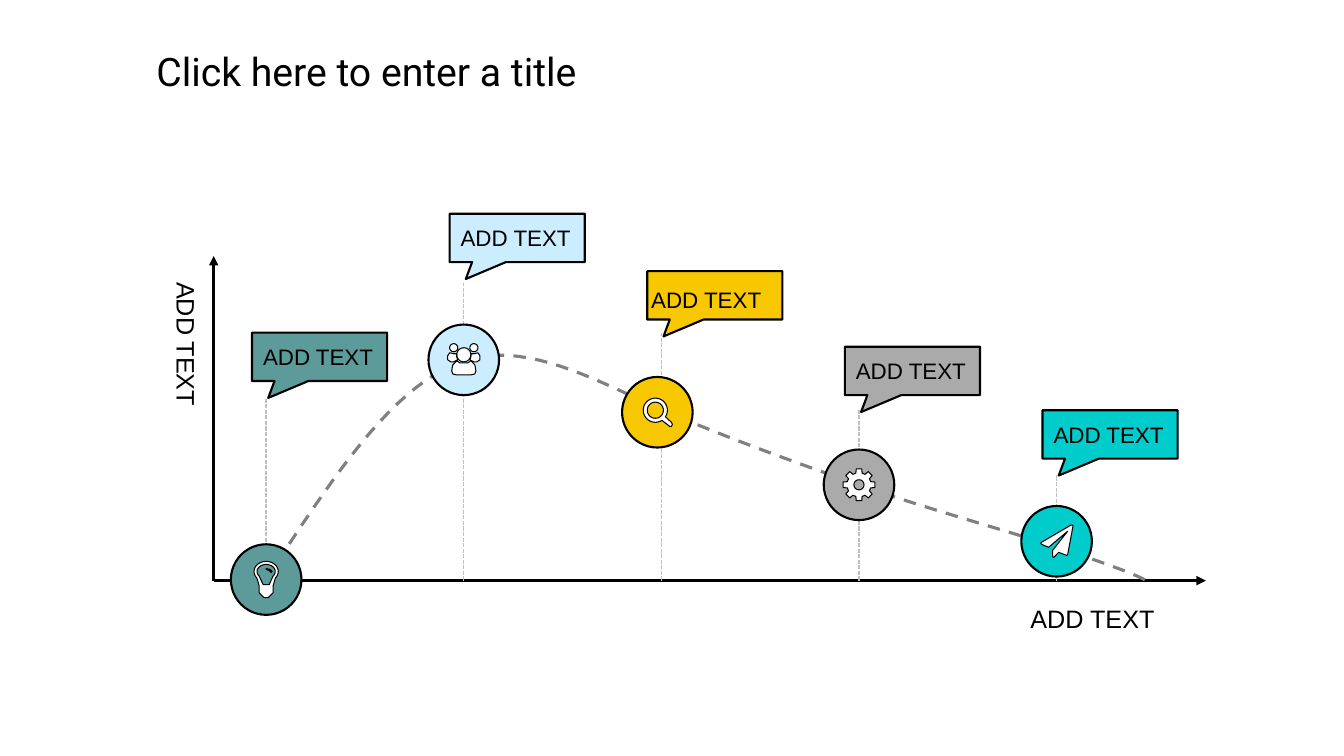
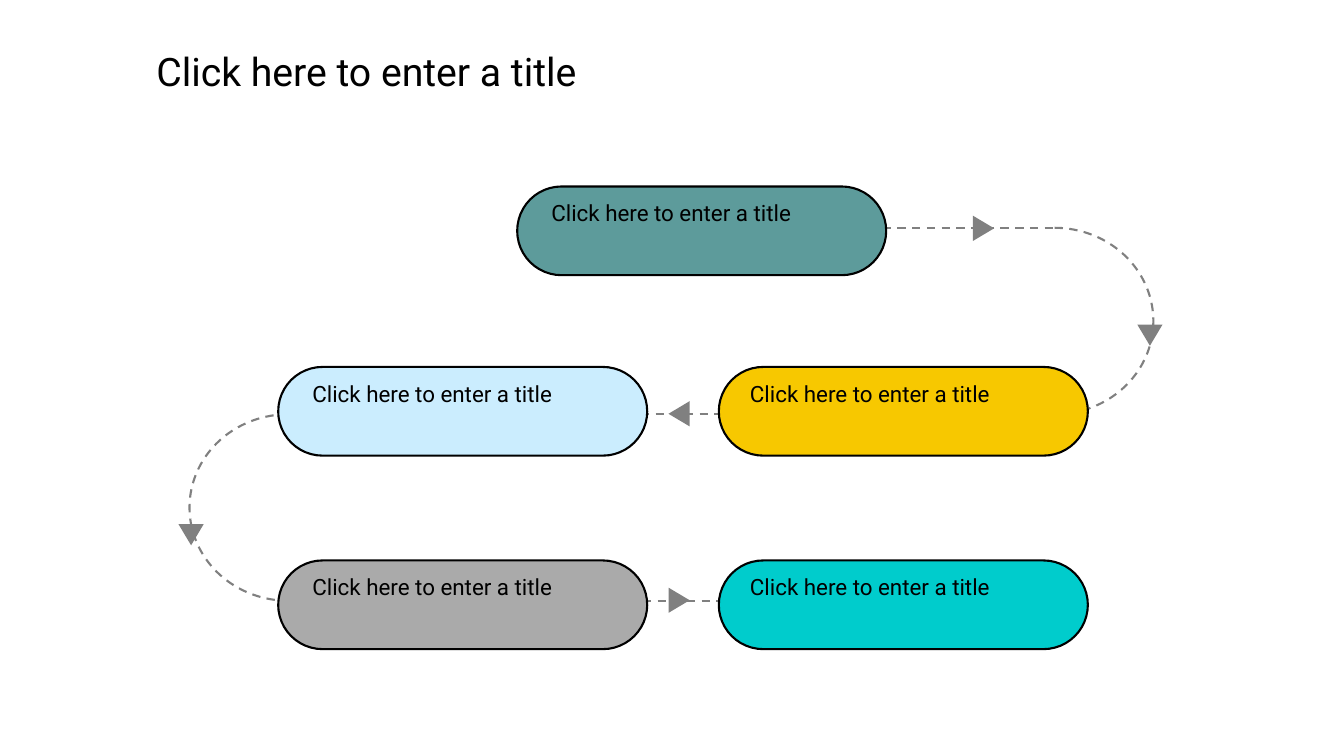
from dataclasses import dataclass
from math import cos, radians, sin

from lxml import etree
from pptx import Presentation
from pptx.dml.color import RGBColor
from pptx.enum.dml import MSO_LINE
from pptx.enum.shapes import MSO_CONNECTOR, MSO_SHAPE
from pptx.enum.text import MSO_ANCHOR, PP_ALIGN
from pptx.oxml.ns import qn
from pptx.util import Inches, Pt

BLACK = RGBColor(0x00, 0x00, 0x00)
WHITE = RGBColor(0xFF, 0xFF, 0xFF)
GRAY = RGBColor(0x80, 0x80, 0x80)
PALE_GRAY = RGBColor(0xBF, 0xBF, 0xBF)
TEAL = RGBColor(0x5D, 0x9B, 0x9B)
SKY = RGBColor(0xCB, 0xED, 0xFE)
YELLOW = RGBColor(0xF7, 0xC8, 0x00)
SILVER = RGBColor(0xAA, 0xAA, 0xAA)
AQUA = RGBColor(0x00, 0xCC, 0xCC)

# The slide is a grid of square cells, one inch each.
COLS, ROWS = 13.33, 7.5
TITLE_FONT, LABEL_FONT = "Roboto", "Arial"
TITLE = "Click here to enter a title"
LABEL = "ADD TEXT"

Point = tuple[float, float]
Contour = list[Point]


# ---- shared drawing -------------------------------------------------------

def cells(*values: float) -> list[int]:
    return [Inches(v) for v in values]


def style_line(line, color: RGBColor, width: float, dash=None) -> None:
    line.color.rgb = color
    line.width = Pt(width)
    if dash is not None:
        line.dash_style = dash


def add_box(s, kind, at: tuple, fill: RGBColor | None, line_color=BLACK):
    sp = s.shapes.add_shape(kind, *cells(*at))
    sp.shadow.inherit = False
    if fill is None:
        sp.fill.background()
    else:
        sp.fill.solid()
        sp.fill.fore_color.rgb = fill
    if line_color is None:
        sp.line.fill.background()
    else:
        style_line(sp.line, line_color, 1.5)
    return sp


def add_line(s, start: Point, end: Point, color: RGBColor, width: float,
             dash=None, arrow: bool = False) -> None:
    line = s.shapes.add_connector(MSO_CONNECTOR.STRAIGHT, *cells(*start, *end))
    style_line(line.line, color, width, dash)
    props = line._element.spPr
    if arrow:
        etree.SubElement(props.find(qn("a:ln")), qn("a:tailEnd"), type="triangle")
    etree.SubElement(props, qn("a:effectLst"))


def add_outline(s, contours: list[Contour], closed: bool = True):
    """Draw contours as one freeform; an inner contour cuts a hole."""
    builder = None
    for contour in contours:
        first, *rest = [tuple(cells(*point)) for point in contour]
        if builder is None:
            builder = s.shapes.build_freeform(*first, scale=1.0)
        else:
            builder.move_to(*first)
        builder.add_line_segments(rest, close=closed)
    sp = builder.convert_to_shape()
    sp.shadow.inherit = False
    return sp


def set_text(tf, text: str, size: float, font: str, align=PP_ALIGN.LEFT):
    tf.text = text
    p = tf.paragraphs[0]
    p.alignment = align
    p.font.size = Pt(size)
    p.font.name = font
    p.font.color.rgb = BLACK
    return p


def set_margins(tf, left: float = 0, top: float = 0, right: float = 0) -> None:
    tf.margin_left, tf.margin_top, tf.margin_right = cells(left, top, right)
    tf.margin_bottom = 0


def new_slide(prs):
    s = prs.slides.add_slide(prs.slide_layouts[5])
    title = s.shapes.title
    title.left, title.top, title.width, title.height = cells(1.45, 0.42, 4.49, 0.57)
    tf = title.text_frame
    tf.word_wrap = False
    tf.vertical_anchor = MSO_ANCHOR.TOP
    set_text(tf, TITLE, 28, TITLE_FONT)
    return s


# ---- outlines -------------------------------------------------------------

def arc(x: float, y: float, rx: float, ry: float,
        start: float = 0, end: float = 360) -> Contour:
    """Points of an elliptical arc, clockwise from start to end in degrees."""
    steps = 32
    angles = [radians(start + (end - start) * i / steps) for i in range(steps + 1)]
    return [(x + rx * cos(a), y + ry * sin(a)) for a in angles]


def flipped(points: Contour) -> Contour:
    return [(-x, y) for x, y in reversed(points)]


def bezier(p0: Point, p1: Point, p2: Point, p3: Point) -> Contour:
    """Sampled points of a cubic curve, without its first point."""
    steps = 20
    points = []
    for i in range(1, steps + 1):
        t = i / steps
        u = 1 - t
        weights = (u ** 3, 3 * u * u * t, 3 * u * t * t, t ** 3)
        points.append(tuple(sum(w * p[axis] for w, p in zip(weights, (p0, p1, p2, p3)))
                            for axis in (0, 1)))
    return points


def bulb() -> list[Contour]:
    base = [(0.07, 0.06), (0.07, 0.13), (0.04, 0.16), (0.02, 0.18)]
    glint = [(0.05, -0.07), (0.03, -0.09), (0, -0.1), (0, -0.11), (0.04, -0.1), (0.06, -0.08)]
    return [arc(0, -0.08, 0.12, 0.1, 140, 400) + base + flipped(base),
            arc(0, -0.08, 0.09, 0.07, 140, 400) + [(0.03, 0.05), (-0.03, 0.05)],
            glint]


def people() -> list[Contour]:
    side = [(-0.1, 0.02), (-0.13, 0.02), (-0.16, 0), (-0.16, -0.04), (-0.14, -0.07),
            (-0.1, -0.06), (-0.07, -0.06), (-0.07, -0.03), (-0.06, 0)]
    body = [(-0.07, 0.15), (-0.11, 0.14), (-0.12, 0.11), (-0.11, 0.05),
            (-0.07, 0.01), (-0.04, 0.03)]
    heads = [(-0.1, -0.12, 0.04), (0, -0.05, 0.07), (0.1, -0.12, 0.04)]
    return ([side, flipped(side), body + flipped(body)]
            + [arc(x, y, r, r) for x, y, r in heads])


def magnifier() -> list[Contour]:
    handle = [(0.14, 0.1), (0.15, 0.12), (0.14, 0.14), (0.12, 0.14), (0.11, 0.13)]
    return [arc(-0.02, -0.02, 0.12, 0.12, 57, 393) + handle,
            arc(-0.02, -0.02, 0.08, 0.08)]


def gear() -> list[Contour]:
    teeth, tooth = 8, [(-15, 0.12), (-10, 0.16), (10, 0.16), (15, 0.12)]
    rim = [(r * cos(radians(a + i * 360 / teeth)), r * sin(radians(a + i * 360 / teeth)))
           for i in range(teeth) for a, r in tooth]
    return [rim, arc(0, 0, 0.05, 0.05)]


def paper_plane() -> list[Contour]:
    return [[(0.16, -0.16), (0.16, -0.14), (0.11, 0.13), (0.1, 0.14), (0.02, 0.11),
             (-0.03, 0.16), (-0.04, 0.15), (-0.04, 0.09), (0.11, -0.1), (-0.08, 0.06),
             (-0.15, 0.03), (-0.16, 0.02), (-0.15, 0.01), (0.14, -0.16)]]


# ---- curve slide ----------------------------------------------------------

@dataclass
class Stop:
    fill: RGBColor
    icon: list[Contour]
    marker_y: float
    callout_y: float
    stem_top: float
    marker_shift: float = 0
    label_left: float = 0
    label_down: float = 0


STOPS = [
    Stop(TEAL, bulb(), 5.75, 3.3, 3.95),
    Stop(SKY, people(), 3.57, 2.12, 2.81),
    Stop(YELLOW, magnifier(), 4.09, 2.69, 3.3, -0.04, 0.07, 0.04),
    Stop(SILVER, gear(), 4.81, 3.44, 4.07),
    Stop(AQUA, paper_plane(), 5.37, 4.07, 4.71),
]
STOP_X, STOP_PITCH = 2.64, 1.96
AXIS_X, AXIS_Y = 2.12, 5.76
MARKER = 0.7
CURVE = [(2.63, 5.76),
         (3.3, 4.74), (3.85, 3.89), (4.52, 3.61),
         (5.18, 3.33), (5.95, 3.8), (6.62, 4.09),
         (7.3, 4.38), (7.93, 4.6), (8.57, 4.83),
         (9.21, 5.05), (10.03, 5.28), (10.49, 5.43),
         (10.96, 5.59), (11.22, 5.68), (11.37, 5.76)]


def add_callout(s, stop: Stop, x: float) -> None:
    sp = add_box(s, MSO_SHAPE.RECTANGULAR_CALLOUT,
                 (x - 0.14, stop.callout_y, 1.34, 0.48), stop.fill)
    sp.adjustments[0], sp.adjustments[1] = -0.38, 0.85
    tf = sp.text_frame
    tf.vertical_anchor = MSO_ANCHOR.MIDDLE
    set_margins(tf, top=2 * stop.label_down, right=0.03 + 2 * stop.label_left)
    set_text(tf, LABEL, 16, LABEL_FONT, PP_ALIGN.CENTER)


def add_marker(s, stop: Stop, x: float) -> None:
    x += stop.marker_shift
    y = stop.marker_y
    add_box(s, MSO_SHAPE.OVAL, (x - MARKER / 2, y - MARKER / 2, MARKER, MARKER), stop.fill)
    icon = add_outline(s, [[(x + dx, y + dy) for dx, dy in c] for c in stop.icon])
    icon.fill.solid()
    icon.fill.fore_color.rgb = WHITE
    style_line(icon.line, BLACK, 0.75)


def add_axis_label(s, at: tuple, vertical: bool = False) -> None:
    tf = s.shapes.add_textbox(*cells(*at)).text_frame
    tf.word_wrap = True
    if vertical:
        tf._txBody.bodyPr.set("vert", "eaVert")
    set_text(tf, LABEL, 18, LABEL_FONT, PP_ALIGN.CENTER).line_spacing = 1.2


def curve_slide(prs) -> None:
    s = new_slide(prs)
    for end in ((11.96, AXIS_Y), (AXIS_X, 2.54)):
        add_line(s, (AXIS_X, AXIS_Y), end, BLACK, 2.25, arrow=True)
    points = CURVE[:1]
    for i in range(0, len(CURVE) - 1, 3):
        points = points + bezier(*CURVE[i:i + 4])
    curve = add_outline(s, [points], closed=False)
    curve.fill.background()
    style_line(curve.line, GRAY, 2.25, MSO_LINE.DASH)

    placed = [(stop, STOP_X + i * STOP_PITCH) for i, stop in enumerate(STOPS)]
    for stop, x in placed:
        add_line(s, (x, AXIS_Y), (x, stop.stem_top), PALE_GRAY, 1, MSO_LINE.SQUARE_DOT)
    for stop, x in placed:
        add_callout(s, stop, x)
        add_marker(s, stop, x)
    add_axis_label(s, (9.61, 5.88, 2.45, 0.43))
    add_axis_label(s, (1.54, 2.7, 0.57, 1.76), vertical=True)


# ---- winding path slide ---------------------------------------------------

@dataclass
class Pill:
    x: float
    y: float
    fill: RGBColor
    inset: float = 0.21


LEFT_X, RIGHT_X = 2.76, 7.13
PILLS = [
    Pill(5.13, 1.85, TEAL),
    Pill(LEFT_X, 3.64, SKY),
    Pill(LEFT_X, 5.56, SILVER),
    Pill(RIGHT_X, 3.64, YELLOW, 0.18),
    Pill(RIGHT_X, 5.56, AQUA, 0.18),
]
LANE_Y, LANE_PITCH = 2.26, 1.85
LANES = [(8.17, 10.45), (2.85, 10.45), (2.87, 7.28)]
BENDS = [(9.48, False), (1.88, True)]
ARROWS = [(9.63, 2.16, 90), (6.61, 4, 270), (6.61, 5.85, 90),
          (11.28, 3.22, 180), (1.77, 5.2, 180)]


def winding_slide(prs) -> None:
    s = new_slide(prs)
    for i, (start, end) in enumerate(LANES):
        y = LANE_Y + i * LANE_PITCH
        add_line(s, (start, y), (end, y), GRAY, 1.5, MSO_LINE.DASH)
    for i, (x, mirrored) in enumerate(BENDS):
        bend = add_box(s, MSO_SHAPE.ARC,
                       (x, LANE_Y + i * LANE_PITCH, 1.96, LANE_PITCH), None, GRAY)
        bend.adjustments[0], bend.adjustments[1] = 162, 54.68
        bend.line.dash_style = MSO_LINE.DASH
        if mirrored:
            bend._element.spPr.find(qn("a:xfrm")).set("flipH", "1")
    for x, y, turn in ARROWS:
        arrow = add_box(s, MSO_SHAPE.ISOSCELES_TRIANGLE, (x, y, 0.25, 0.21), GRAY, None)
        arrow.rotation = turn
    for pill in PILLS:
        sp = add_box(s, MSO_SHAPE.ROUNDED_RECTANGLE, (pill.x, pill.y, 3.66, 0.88), pill.fill)
        sp.adjustments[0] = 0.5
        tf = sp.text_frame
        tf.vertical_anchor = MSO_ANCHOR.TOP
        set_margins(tf, left=pill.inset)
        set_text(tf, TITLE, 16, TITLE_FONT)


def main() -> None:
    prs = Presentation()
    prs.slide_width, prs.slide_height = cells(COLS, ROWS)
    curve_slide(prs)
    winding_slide(prs)
    prs.save("out.pptx")


if __name__ == "__main__":
    main()
